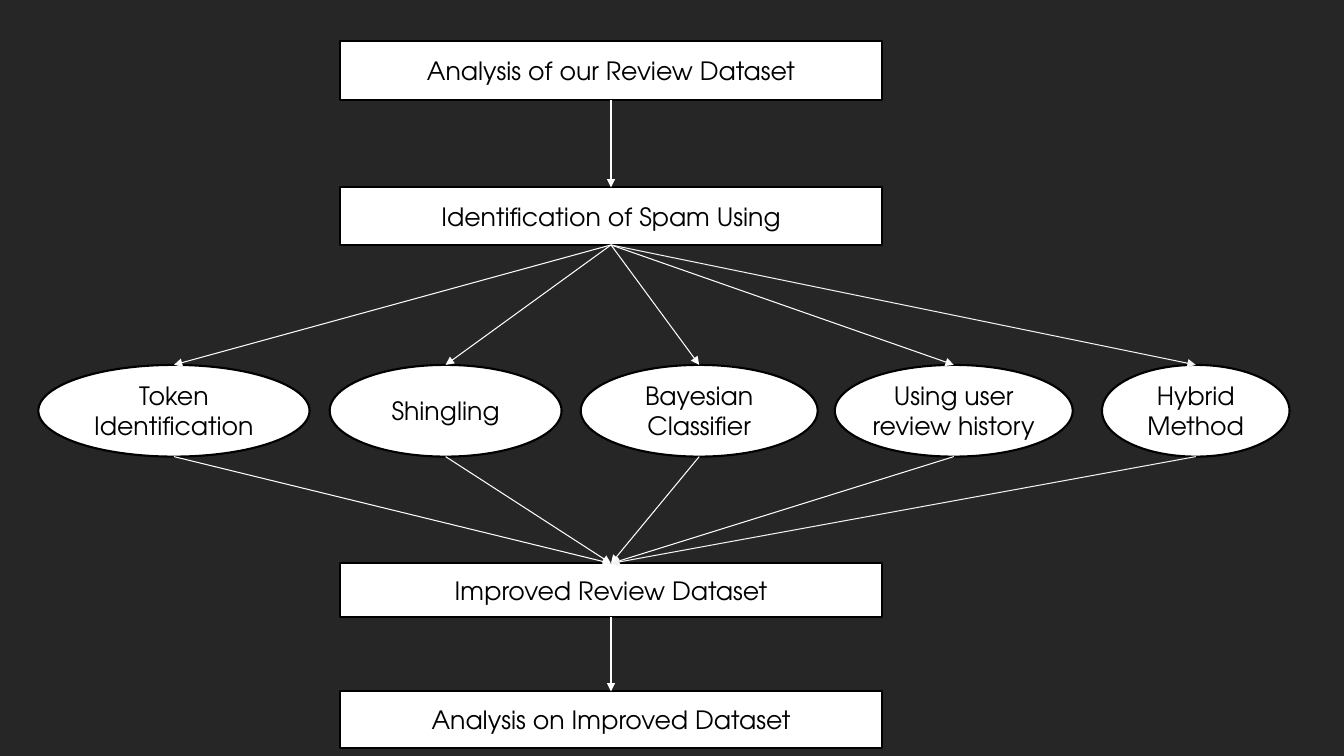
from dataclasses import dataclass

from lxml.etree import SubElement
from pptx import Presentation
from pptx.dml.color import RGBColor
from pptx.enum.shapes import MSO_CONNECTOR, MSO_SHAPE
from pptx.enum.text import MSO_ANCHOR, PP_ALIGN
from pptx.oxml.ns import qn
from pptx.slide import Slide
from pptx.util import Inches, Pt

FONT = "TeX Gyre Adventor"
BACKGROUND = "262626"
WHITE = "FFFFFF"
OFF_WHITE = "F2F2F2"
BLACK = "000000"


@dataclass(frozen=True)
class Node:
    text: str
    left: float
    top: float
    width: float
    height: float
    kind: MSO_SHAPE
    arrow_color: str = WHITE

    @property
    def center(self) -> float:
        return self.left + self.width / 2

    @property
    def bottom(self) -> float:
        return self.top + self.height


def step(text: str, top: float, height: float) -> Node:
    return Node(text, 3.37, top, 5.38, height, MSO_SHAPE.RECTANGLE)


def method(text: str, left: float, width: float, arrow_color: str = WHITE) -> Node:
    return Node(text, left, 3.62, width, 0.91, MSO_SHAPE.OVAL, arrow_color)


def color(value: str) -> RGBColor:
    return RGBColor.from_string(value)


def draw_node(slide: Slide, node: Node) -> None:
    shape = slide.shapes.add_shape(
        node.kind, Inches(node.left), Inches(node.top), Inches(node.width), Inches(node.height)
    )
    shape.shadow.inherit = False
    shape.fill.solid()
    shape.fill.fore_color.rgb = color(WHITE)
    shape.line.color.rgb = color(BLACK)
    shape.line.width = Pt(1.5)
    frame = shape.text_frame
    frame.word_wrap = True
    frame.vertical_anchor = MSO_ANCHOR.MIDDLE
    frame.margin_left = frame.margin_right = Inches(0)
    frame.margin_top = frame.margin_bottom = Inches(0)
    paragraph = frame.paragraphs[0]
    paragraph.alignment = PP_ALIGN.CENTER
    run = paragraph.add_run()
    run.text = node.text
    run.font.name = FONT
    run.font.size = Pt(18)
    run.font.color.rgb = color(BLACK)


def draw_arrow(slide: Slide, source: Node, target: Node, line_color: str = WHITE) -> None:
    connector = slide.shapes.add_connector(
        MSO_CONNECTOR.STRAIGHT,
        Inches(source.center), Inches(source.bottom),
        Inches(target.center), Inches(target.top),
    )
    connector.line.color.rgb = color(line_color)
    connector.line.width = Pt(0.75)
    SubElement(connector.line._get_or_add_ln(), qn("a:tailEnd"), type="triangle")
    SubElement(connector._element.spPr, qn("a:effectLst"))


review_analysis = step("Analysis of our Review Dataset", 0.41, 0.58)
spam_identification = step("Identification of Spam Using", 1.86, 0.57)
improved_dataset = step("Improved Review Dataset", 5.59, 0.53)
improved_analysis = step("Analysis on Improved Dataset", 6.86, 0.56)
methods = [
    method("Token Identification", 0.38, 2.69),
    method("Shingling", 3.27, 2.3),
    method("Bayesian Classifier", 5.76, 2.35),
    method("Using user review history", 8.28, 2.36),
    method("Hybrid Method", 10.93, 1.86, OFF_WHITE),
]

presentation = Presentation()
presentation.slide_width = Inches(13.33)
presentation.slide_height = Inches(7.5)
slide = presentation.slides.add_slide(presentation.slide_layouts[6])
slide.background.fill.solid()
slide.background.fill.fore_color.rgb = color(BACKGROUND)

for node in [review_analysis, spam_identification, *methods, improved_dataset, improved_analysis]:
    draw_node(slide, node)

draw_arrow(slide, review_analysis, spam_identification)
for node in methods:
    draw_arrow(slide, spam_identification, node, node.arrow_color)
    draw_arrow(slide, node, improved_dataset, node.arrow_color)
draw_arrow(slide, improved_dataset, improved_analysis)

presentation.save("out.pptx")
